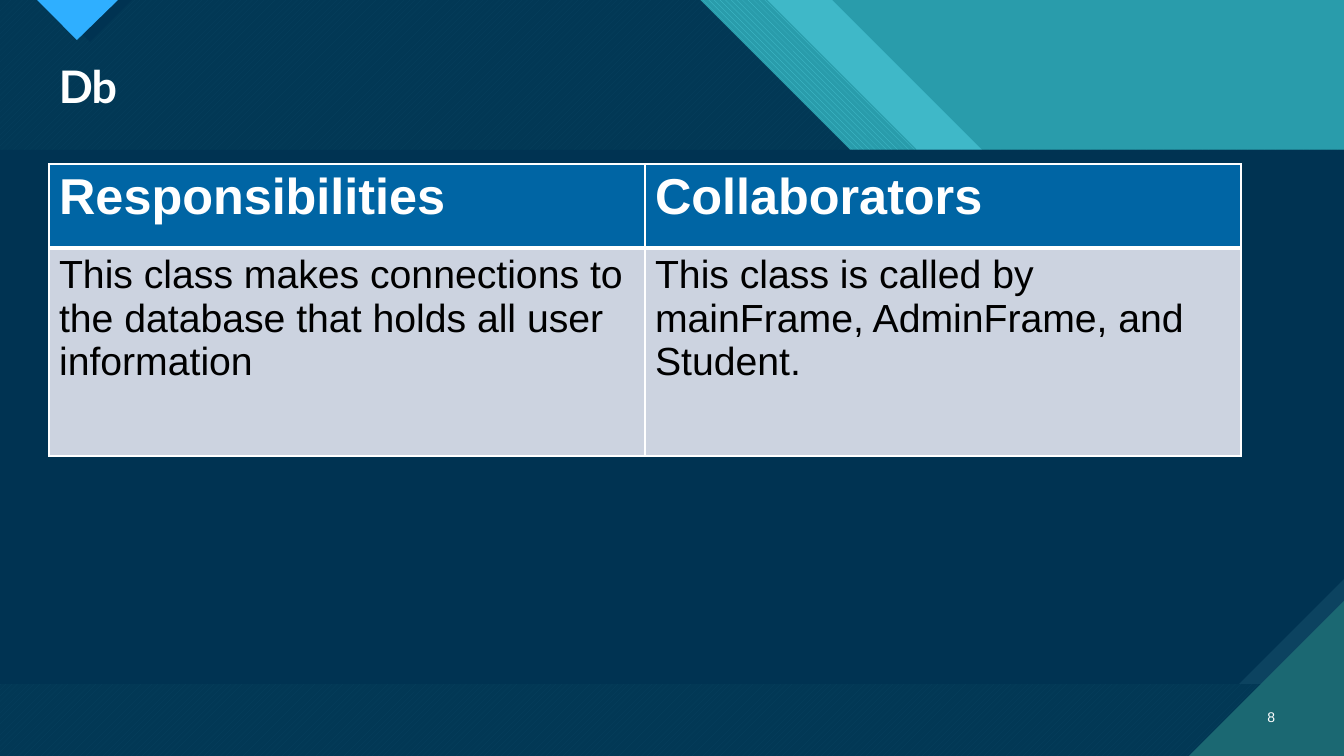
from lxml.etree import SubElement
from pptx import Presentation
from pptx.dml.color import RGBColor
from pptx.enum.dml import MSO_PATTERN as Pattern
from pptx.enum.text import MSO_ANCHOR as Anchor, PP_ALIGN as Align
from pptx.oxml.ns import qn
from pptx.util import Emu, Pt

WIDTH, HEIGHT = 1344, 756
PX = 12192000 / WIDTH

TEAL, AQUA, NAVY, WHITE = "299CAB", "47C3D3", "003352", "FFFFFF"
HEADER_BOTTOM, PANEL_BOTTOM, SNIP = 150, 684, 105
STRIPES_DOWN = (Pattern.WIDE_DOWNWARD_DIAGONAL, AQUA, TEAL)
STRIPES_UP = (Pattern.WIDE_UPWARD_DIAGONAL, AQUA, "1B6872")


def header_band(right):
    """Outline from the left edge to a 45 degree edge starting at right."""
    return [(0, 0), (right, 0), (right + HEADER_BOTTOM, HEADER_BOTTOM), (0, HEADER_BOTTOM)]


page = [(0, 0), (WIDTH, 0), (WIDTH, HEIGHT), (0, HEIGHT)]
navy_area = header_band(700)[:3] + [(WIDTH, HEADER_BOTTOM), (WIDTH, HEIGHT), (0, HEIGHT)]
panel = [(0, HEADER_BOTTOM), (WIDTH, HEADER_BOTTOM), (WIDTH, PANEL_BOTTOM), (0, PANEL_BOTTOM)]
snipped_panel = panel[:2] + [(WIDTH, PANEL_BOTTOM - SNIP), (WIDTH - SNIP, PANEL_BOTTOM), panel[3]]

# outline, fill (a colour or a pattern with two colours), opacity in percent
BACKDROP = [
    (page, TEAL, 100),
    (header_band(832), AQUA, 74),
    (header_band(767), STRIPES_DOWN, 100),
    (navy_area, STRIPES_UP, 100),
    (navy_area, NAVY, 90),
    ([(48, 0), (132, 0), (90, 42)], NAVY, 100),
    ([(37, 0), (118, 0), (77, 40)], "2FAFFF", 100),
    (panel, "0C4360", 100),
    (snipped_panel, NAVY, 100),
    ([(1189, HEIGHT), (WIDTH, HEIGHT), (WIDTH, 601)], "1B6872", 100),
]

TITLE = "Db"
PAGE_NUMBER = "8"
TABLE = [
    ("Responsibilities", "Collaborators"),
    ("This class makes connections to the database that holds all user information",
     "This class is called by mainFrame, AdminFrame, and Student."),
]
TABLE_BOX = (49, 164, 1192, 292)
# height, fill, text colour, text size, bold, bottom border in points
ROW_STYLES = [
    (84, "0065A4", WHITE, 36, True, 3),
    (208, "CCD3E0", "000000", 28, False, 1),
]


def px(*lengths):
    return [Emu(round(n * PX)) for n in lengths]


def rgb(color):
    return RGBColor.from_string(color)


def format_run(r, font, size, color, bold=False):
    r.font.name, r.font.size, r.font.bold = font, Pt(size), bold
    r.font.color.rgb = rgb(color)


def add_outline(slide, points, fill, opacity):
    builder = slide.shapes.build_freeform(*points[0], scale=PX)
    builder.add_line_segments(points[1:], close=True)
    s = builder.convert_to_shape()
    s.shadow.inherit = False
    s.line.fill.background()
    if isinstance(fill, tuple):
        s.fill.patterned()
        s.fill.pattern, fore, back = fill
        s.fill.fore_color.rgb, s.fill.back_color.rgb = rgb(fore), rgb(back)
    else:
        s.fill.solid()
        s.fill.fore_color.rgb = rgb(fill)
    if opacity < 100:
        color = s.fill._xPr.find(qn("a:solidFill"))[0]
        SubElement(color, qn("a:alpha"), val=str(opacity * 1000))


def add_text(slide, box, text, font, size, bold=False):
    tf = slide.shapes.add_textbox(*px(*box)).text_frame
    tf.word_wrap = True
    tf.vertical_anchor = Anchor.MIDDLE
    tf.text = text
    p = tf.paragraphs[0]
    format_run(p.runs[0], font, size, WHITE, bold)
    return p


def add_border(cell, side, width):
    ln = SubElement(cell._tc.get_or_add_tcPr(), qn("a:ln" + side), w=str(Pt(width)))
    SubElement(SubElement(ln, qn("a:solidFill")), qn("a:srgbClr"), val=WHITE)


def add_class_table(slide):
    table = slide.shapes.add_table(len(TABLE), len(TABLE[0]), *px(*TABLE_BOX)).table
    for row, texts, style in zip(table.rows, TABLE, ROW_STYLES):
        height, fill, color, size, bold, bottom = style
        row.height = px(height)[0]
        for cell, text in zip(row.cells, texts):
            top = 3 if row is not table.rows[0] and fill != ROW_STYLES[0][1] else 1
            for side, width in zip("LRTB", (1, 1, top, bottom)):
                add_border(cell, side, width)
            cell.fill.solid()
            cell.fill.fore_color.rgb = rgb(fill)
            cell.text = text
            format_run(cell.text_frame.paragraphs[0].runs[0], "Arial", size, color, bold)


def main():
    prs = Presentation()
    prs.slide_width, prs.slide_height = px(WIDTH, HEIGHT)
    slide = prs.slides.add_slide(prs.slide_layouts[6])
    for points, fill, opacity in BACKDROP:
        add_outline(slide, points, fill, opacity)

    number = add_text(slide, (1241, 697, 44, 40), PAGE_NUMBER, "Arial", 10)
    number.alignment = Align.RIGHT
    title = add_text(slide, (49, 59, 1236, 59), TITLE, "Lato", 32, bold=True)
    title.line_spacing = 0.9
    title.runs[0].font._element.set("spc", "-70")
    add_class_table(slide)
    prs.save("out.pptx")


if __name__ == "__main__":
    main()
